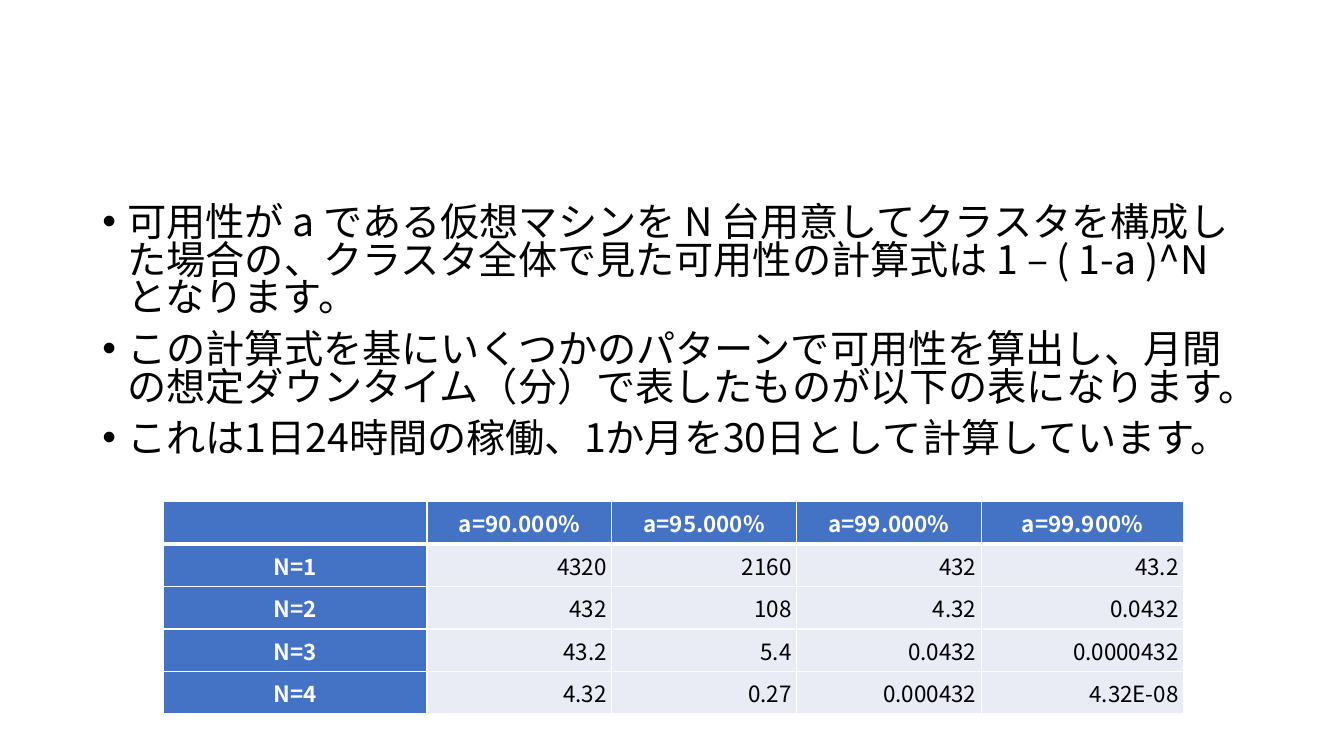
import pptx
import pptx.dml.color
import pptx.enum.text
import pptx.oxml
import pptx.oxml.ns
import pptx.util
from lxml import etree

Pt = pptx.util.Pt
Align = pptx.enum.text.PP_ALIGN
qn = pptx.oxml.ns.qn

POINTS = [
    "可用性が a である仮想マシンを N 台用意してクラスタを構成した場合の、"
    "クラスタ全体で見た可用性の計算式は 1 – ( 1-a )^N となります。",
    "この計算式を基にいくつかのパターンで可用性を算出し、"
    "月間の想定ダウンタイム（分）で表したものが以下の表になります。",
    "これは1日24時間の稼働、1か月を30日として計算しています。",
]
DOWNTIME = [
    ["", "a=90.000%", "a=95.000%", "a=99.000%", "a=99.900%"],
    ["N=1", "4320", "2160", "432", "43.2"],
    ["N=2", "432", "108", "4.32", "0.0432"],
    ["N=3", "43.2", "5.4", "0.0432", "0.0000432"],
    ["N=4", "4.32", "0.27", "0.000432", "4.32E-08"],
]


def color(value):
    """Turn a hex string into a colour."""
    return pptx.dml.color.RGBColor.from_string(value)


class Page:
    """Holds the style and the current slide."""

    font = "Noto Sans CJK JP"
    ink, paper, header, body = "000000", "FFFFFF", "4472C4", "E9EBF5"

    def __init__(self, deck):
        """Add a blank slide to the deck."""
        self.slide = deck.slides.add_slide(deck.slide_layouts[6])

    def style(self, para, size, ink, bold=False):
        """Format every run of a paragraph."""
        for span in para.runs:
            span.font.name = self.font
            span.font.size = Pt(size)
            span.font.bold = bold
            span.font.color.rgb = color(ink)
            properties = span.font._element
            etree.SubElement(properties, qn("a:ea"), typeface=self.font)

    def bullets(self, left, top, width, height, texts):
        """Add a box with one bulleted paragraph for each text."""
        box = self.slide.shapes.add_textbox(Pt(left), Pt(top), Pt(width), Pt(height))
        frame = box.text_frame
        frame.word_wrap = True
        frame.text = "\n".join(texts)
        for para in frame.paragraphs:
            para.line_spacing = 0.8
            para.space_before = Pt(10)
            self.style(para, 28, self.ink)
            properties = para._p.get_or_add_pPr()
            properties.set("marL", str(Pt(18)))
            properties.set("indent", str(-Pt(18)))
            etree.SubElement(properties, qn("a:buFont"), typeface="Arial")
            etree.SubElement(properties, qn("a:buChar"), char="•")

    def border(self, cell, side, width):
        """Draw one side of a cell; side is L, R, T or B."""
        line = etree.SubElement(
            cell._tc.get_or_add_tcPr(), qn("a:ln" + side), w=str(Pt(width)))
        fill = etree.SubElement(line, qn("a:solidFill"))
        etree.SubElement(fill, qn("a:srgbClr"), val=self.paper)

    def table(self, left, top, widths, row_height, values):
        """Add a table whose first row and first column are headings."""
        rows, columns = len(values), len(widths)
        grid = self.slide.shapes.add_table(
            rows, columns, Pt(left), Pt(top),
            Pt(sum(widths)), Pt(row_height * rows)).table
        grid.first_row = grid.horz_banding = False
        for column, width in zip(grid.columns, widths):
            column.width = Pt(width)
        for row_index, row in enumerate(values):
            grid.rows[row_index].height = Pt(row_height)
            for column_index, text in enumerate(row):
                self.cell(grid.cell(row_index, column_index), text,
                          row_index, column_index)

    def cell(self, cell, text, row, column):
        """Fill and format one table cell."""
        heading = row == 0 or column == 0
        thick_sides = {0: "B", 1: "T"}
        for side in "LRTB":
            self.border(cell, side, 3 if thick_sides.get(row) == side else 1)
        cell.fill.solid()
        cell.fill.fore_color.rgb = color(self.header if heading else self.body)
        cell.vertical_anchor = pptx.enum.text.MSO_ANCHOR.MIDDLE
        cell.margin_left = cell.margin_right = Pt(3.6)
        cell.margin_top = cell.margin_bottom = Pt(3.6)
        if text:
            cell.text_frame.text = text
            para = cell.text_frame.paragraphs[0]
            para.alignment = Align.CENTER if heading else Align.RIGHT
            self.style(para, 16, self.paper if heading else self.ink, heading)


deck = pptx.Presentation()
deck.slide_width, deck.slide_height = Pt(960), Pt(540)
page = Page(deck)
page.table(117, 358.5, [188, 132, 132, 132, 144.5], 26.4, DOWNTIME)
page.bullets(66, 144, 828, 196.5, POINTS)
deck.save("out.pptx")
